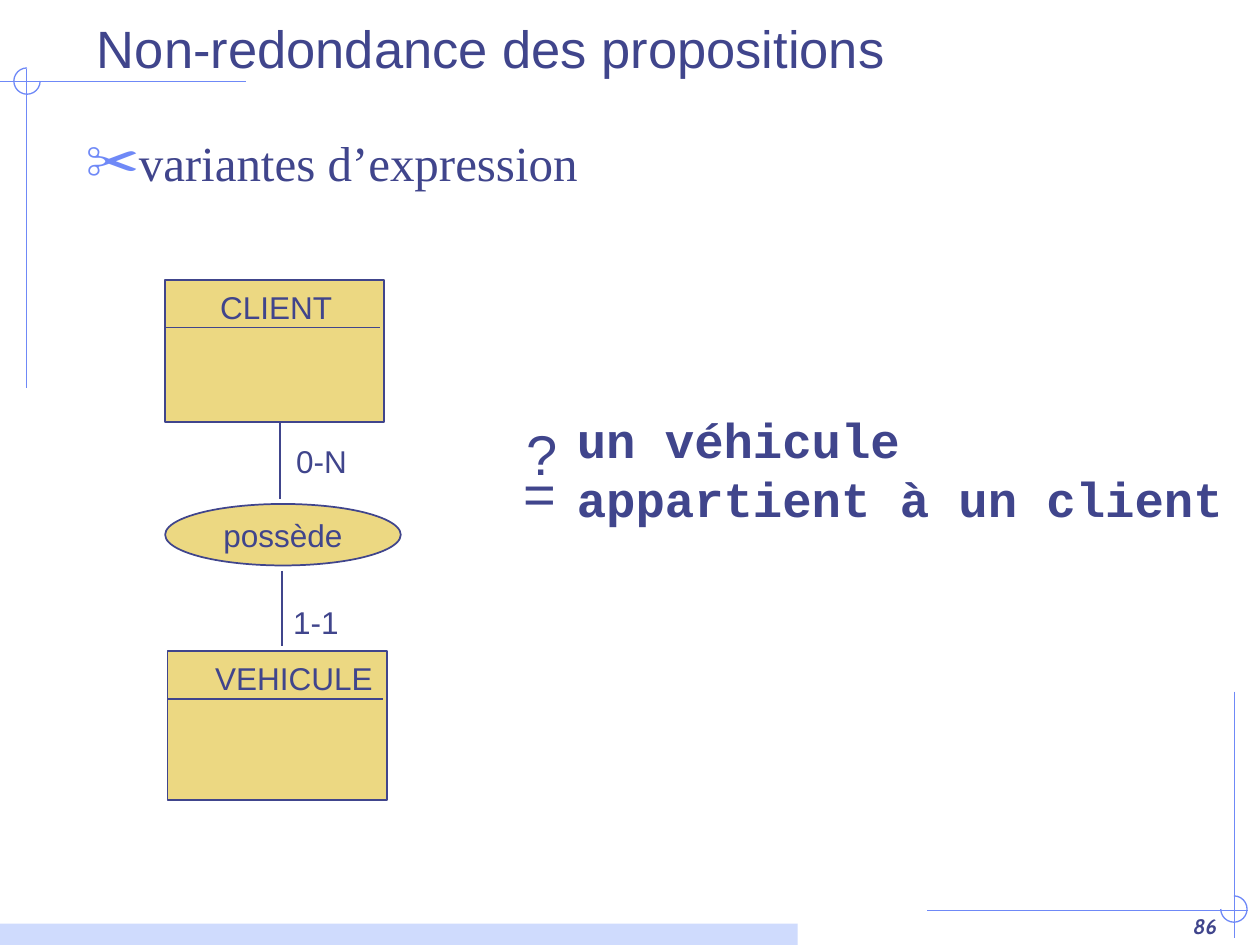
from lxml.etree import SubElement
from pptx import Presentation
from pptx.dml.color import RGBColor
from pptx.enum.shapes import MSO_CONNECTOR, MSO_SHAPE
from pptx.enum.text import MSO_ANCHOR, MSO_AUTO_SIZE, PP_ALIGN
from pptx.oxml.ns import qn
from pptx.util import Cm, Pt

INK = RGBColor(0x40, 0x45, 0x8C)
BLUE = RGBColor(0x6F, 0x89, 0xF7)
PALE = RGBColor(0xCF, 0xDB, 0xFD)
SAND = RGBColor(0xEC, 0xD8, 0x82)

# Content, lengths in cm
TITLE = "Non-redondance des propositions"
BULLET = "variantes d’expression"
PAGE = "86"
STATEMENT = ["un véhicule", "appartient à un client"]

# Corner ornaments: two lines, then arc left, top, rotation
CORNERS = [
    ([(4.95, 1.65, 0, 1.65), (0.53, 1.4, 0.53, 7.82)], (0.28, 1.37, 0)),
    ([(24.89, 13.94, 24.89, 18.9), (25.15, 18.36, 18.69, 18.36)],
     (24.61, 18.06, 270)),
]
ARC_SIZE = 0.53

# Entities: name, left, top, height, label left, label top, label width
ENTITIES = [
    ("CLIENT", 3.33, 5.64, 2.87, 4.19, 5.69, 2.85),
    ("VEHICULE", 3.38, 13.13, 3.0, 4.09, 13.16, 3.75),
]
ENTITY_W, HEADER_W, HEADER_H = 4.42, 4.34, 0.96
RELATION = ("possède", 3.33, 10.16, 4.75, 1.24)
LINKS = [(5.64, 8.53, 5.64, 10.06), (5.69, 11.51, 5.69, 13.03)]

# Free labels: text, left, top, width, height, size
LABELS = [
    ("0-N", 5.72, 8.79, 1.6, 1.02, 18),
    ("1-1", 5.66, 12.04, 1.5, 1.02, 18),
    ("=", 10.31, 9.12, 1.2, 1.63, 32),
    ("?", 10.36, 8.33, 1.2, 1.63, 32),
]

prs = Presentation()
prs.slide_width, prs.slide_height = Cm(25.4), Cm(19.05)
s = prs.slides.add_slide(prs.slide_layouts[1])


def add_run(p, text, size, font="Arial", bold=None, italic=None):
    r = p.add_run()
    r.text = text
    f = r.font
    f.size, f.name, f.bold, f.italic = Pt(size), font, bold, italic
    f.color.rgb = INK


def add_line(ends, color, width):
    ln = s.shapes.add_connector(MSO_CONNECTOR.STRAIGHT, *map(Cm, ends))
    ln.line.color.rgb, ln.line.width = color, Pt(width)
    SubElement(ln._element.spPr, qn("a:effectLst"))


def add_shape(kind, box, fill=None, line=None, width=1):
    sp = s.shapes.add_shape(kind, *map(Cm, box))
    sp.shadow.inherit = False
    if fill is None:
        sp.fill.background()
    else:
        sp.fill.solid()
        sp.fill.fore_color.rgb = fill
    if line is None:
        sp.line.fill.background()
    else:
        sp.line.color.rgb, sp.line.width = line, Pt(width)
    return sp


def add_text(box, wrap=False):
    tf = s.shapes.add_textbox(*map(Cm, box)).text_frame
    tf.word_wrap = wrap
    if not wrap:
        tf.auto_size = MSO_AUTO_SIZE.SHAPE_TO_FIT_TEXT
    return tf


def place(ph, box, anchor, align):
    ph.left, ph.top, ph.width, ph.height = map(Cm, box)
    tf = ph.text_frame
    tf.auto_size, tf.vertical_anchor = MSO_AUTO_SIZE.NONE, anchor
    p = tf.paragraphs[0]
    p.alignment, p.space_before = align, Pt(0)
    return p


# Corner ornaments and bottom bar
for lines, (x, y, turn) in CORNERS:
    for ends in lines:
        add_line(ends, BLUE, 0.75)
    arc = add_shape(MSO_SHAPE.ARC, (x, y, ARC_SIZE, ARC_SIZE), None, BLUE, 0.75)
    arc.adjustments[0], arc.adjustments[1] = 0, 162  # 0 to 270 degrees
    arc.rotation = turn
add_shape(MSO_SHAPE.RECTANGLE, (0, 18.62, 16.08, 0.43), PALE)

# Page number
tf = add_text((19.51, 17.78, 5.28, 1.27), wrap=True)
tf.vertical_anchor = MSO_ANCHOR.BOTTOM
p = tf.paragraphs[0]
p.alignment = PP_ALIGN.RIGHT
add_run(p, PAGE, 12, "Cabin", True, True)

# Title and bullet
p = place(s.shapes.title, (1.7, 0.03, 23.06, 1.7), MSO_ANCHOR.BOTTOM, PP_ALIGN.LEFT)
add_run(p, TITLE, 30)
p = place(s.placeholders[1], (1.47, 2.54, 22.66, 15.27), MSO_ANCHOR.TOP,
          PP_ALIGN.JUSTIFY)
pPr = p._p.get_or_add_pPr()
pPr.set("marL", str(Cm(0.97)))
pPr.set("indent", str(-Cm(0.97)))
SubElement(SubElement(pPr, qn("a:buClr")), qn("a:srgbClr"), val=str(BLUE))
SubElement(pPr, qn("a:buSzPct"), val="110000")
SubElement(pPr, qn("a:buChar"), char="✂")
add_run(p, BULLET, 28, "Times New Roman")

# Entities
for name, x, y, h, label_x, label_y, label_w in ENTITIES:
    add_shape(MSO_SHAPE.RECTANGLE, (x, y, ENTITY_W, h), SAND, INK)
    add_line((x, y + HEADER_H, x + HEADER_W, y + HEADER_H), INK, 1)
    tf = add_text((label_x, label_y, label_w, 1.02))
    add_run(tf.paragraphs[0], name, 18)

# Relation and its links
name, *box = RELATION
tf = add_shape(MSO_SHAPE.OVAL, box, SAND, INK).text_frame
tf.word_wrap, tf.vertical_anchor = False, MSO_ANCHOR.MIDDLE
p = tf.paragraphs[0]
p.alignment = PP_ALIGN.CENTER
add_run(p, name, 18)
for ends in LINKS:
    add_line(ends, INK, 1)

# Cardinalities and question signs
for text, *box, size in LABELS:
    add_run(add_text(box).paragraphs[0], text, size)

# Statement
p = add_text((11.38, 8.13, 13.7, 2.64)).paragraphs[0]
p.line_spacing = Pt(33.7)
for i, text in enumerate(STATEMENT):
    if i:
        p.add_line_break()
    add_run(p, text, 28, "Courier New", True)

prs.save("out.pptx")
